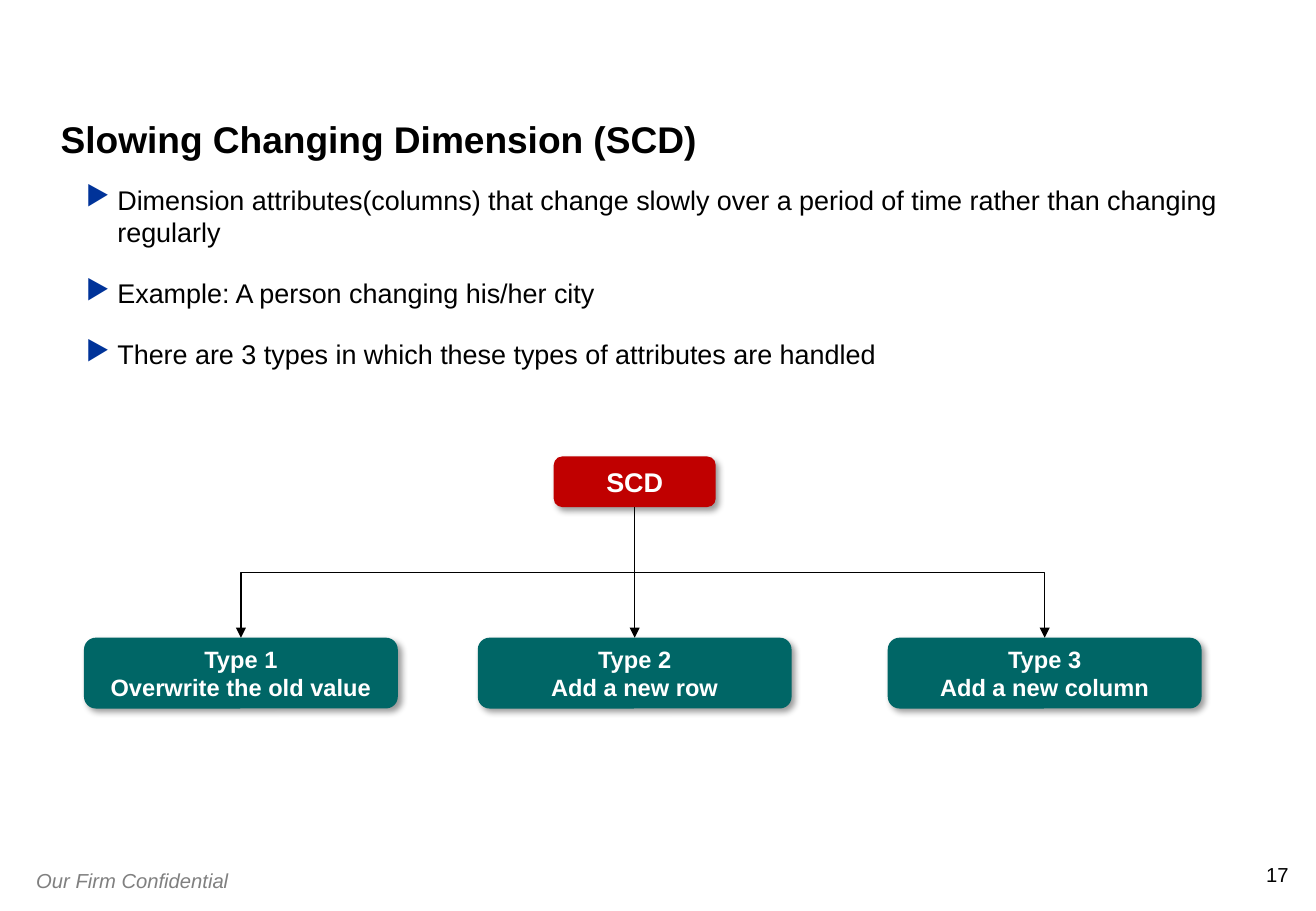
import pptx
import pptx.util
import pptx.dml.color
import pptx.enum.shapes
import pptx.enum.text
import pptx.oxml
import pptx.oxml.ns

PX = 7620  # 120 px to the inch
RGB = pptx.dml.color.RGBColor
BLACK, WHITE = RGB(0, 0, 0), RGB(255, 255, 255)
GREY, BLUE = RGB(0x80, 0x80, 0x80), RGB(0, 0x33, 0x99)
RED, TEAL = RGB(0xC0, 0, 0), RGB(0, 0x66, 0x66)

ALIGN = pptx.enum.text.PP_ALIGN
ANCHOR = pptx.enum.text.MSO_ANCHOR
FIT = pptx.enum.text.MSO_AUTO_SIZE
KIND = pptx.enum.shapes.MSO_CONNECTOR
ROUND = pptx.enum.shapes.MSO_SHAPE.ROUNDED_RECTANGLE

POINTS = [
    "Dimension attributes(columns) that change slowly over a period of time "
    "rather than changing regularly",
    "Example: A person changing his/her city",
    "There are 3 types in which these types of attributes are handled",
]
TYPES = [  # left edge, label
    (0, "Type 1\nOverwrite the old value"),
    (389, "Type 2\nAdd a new row"),
    (794, "Type 3\nAdd a new column"),
]


def scale(*sizes):
    return [pptx.util.Emu(size * PX) for size in sizes]


def node(tag, inner="", **attrs):
    pairs = "".join(f' {key}="{val}"' for key, val in attrs.items())
    space = pptx.oxml.ns.nsdecls("a")
    return pptx.oxml.parse_xml(f"<a:{tag} {space}{pairs}>{inner}</a:{tag}>")


def write(frame, text, size, color, bold=False, italic=False,
          align=ALIGN.LEFT, inset=0, wrap=True, anchor=ANCHOR.TOP):
    frame.text = text
    frame.auto_size = FIT.NONE
    frame.word_wrap = wrap
    frame.vertical_anchor = anchor
    frame.margin_left = frame.margin_right = inset * PX
    frame.margin_top = frame.margin_bottom = inset * PX
    for para in frame.paragraphs:
        para.alignment = align
        for run in para.runs:
            font = run.font
            font.name, font.size = "Arial", pptx.util.Pt(size)
            font.bold, font.italic = bold, italic
            font.color.rgb = color


def add_title(slide, box):
    title = slide.shapes.title
    title.left, title.top, title.width, title.height = scale(*box)
    write(title.text_frame, "Slowing Changing Dimension (SCD)", 22, BLACK,
          bold=True, anchor=ANCHOR.BOTTOM)
    title.text_frame.paragraphs[0].line_spacing = 0.9


def add_points(slide, box):
    frame = slide.shapes.add_textbox(*scale(*box)).text_frame
    write(frame, "\n".join(POINTS), 16, BLACK)
    for index, para in enumerate(frame.paragraphs):
        props = para._p.get_or_add_pPr()
        props.set("marL", str(31 * PX))
        props.set("indent", str(-31 * PX))
        props.append(node("buClr", f'<a:srgbClr val="{BLUE}"/>'))
        props.append(node("buChar", char="▶"))
        if index:
            para.space_before = pptx.util.Pt(17)


def add_card(slide, box, text, size, fill):
    card = slide.shapes.add_shape(ROUND, *scale(*box))
    card.shadow.inherit = False
    card.fill.solid()
    card.fill.fore_color.rgb = fill
    card.line.fill.background()
    shade = ('<a:outerShdw blurRad="50800" dist="38100" dir="2700000" '
             'algn="tl" rotWithShape="0"><a:srgbClr val="000000">'
             '<a:alpha val="40000"/></a:srgbClr></a:outerShdw>')
    effects = card._element.spPr.find(pptx.oxml.ns.qn("a:effectLst"))
    effects.getparent().replace(effects, node("effectLst", shade))
    write(card.text_frame, text, size, WHITE, bold=True, align=ALIGN.CENTER,
          inset=6, wrap=False, anchor=ANCHOR.MIDDLE)
    return card


def add_arrow(slide, root, leaf):
    x1, y1 = root.left + root.width // 2, root.top + root.height
    x2, y2 = leaf.left + leaf.width // 2, leaf.top
    straight = x1 == x2
    kind = KIND.STRAIGHT if straight else KIND.ELBOW
    arrow = slide.shapes.add_connector(kind, x1, y1, x2, y2)
    props = arrow._element.spPr
    if straight:
        arrow.begin_connect(root, 2)
        arrow.end_connect(leaf, 0)
    else:
        # Turn the elbow so that it leaves and arrives vertically
        wide, high = y2 - y1, abs(x2 - x1)
        arrow.left = (x1 + x2 - wide) // 2
        arrow.top = (y1 + y2 - high) // 2
        arrow.width, arrow.height = wide, high
        frame = props.find(pptx.oxml.ns.qn("a:xfrm"))
        frame.set("rot", str((90 if x2 < x1 else 270) * 60000))
        frame.set("flipH", "0" if x2 < x1 else "1")
    arrow.line.color.rgb = BLACK
    arrow.line.width = pptx.util.Pt(0.75)
    arrow.line._get_or_add_ln().append(node("tailEnd", type="triangle"))
    props.append(node("effectLst"))


def add_tree(slide, box):
    left, top, width, height = box
    root = add_card(slide, (left + 464, top, 160, 50), "SCD", 16, RED)
    leaves = [add_card(slide, (left + shift, top + height - 70, 310, 70),
                       label, 14, TEAL) for shift, label in TYPES]
    for leaf in leaves:
        add_arrow(slide, root, leaf)


def add_footer(slide, box):
    left, top, width, height = box
    note = slide.shapes.add_textbox(*scale(left, top, 240, height))
    write(note.text_frame, "Our Firm Confidential", 12, GREY, italic=True,
          inset=12, wrap=False, anchor=ANCHOR.MIDDLE)
    page = slide.shapes.add_textbox(*scale(left + width - 25, top, 25, 24))
    write(page.text_frame, "17", 12, BLACK, align=ALIGN.RIGHT, wrap=False)


def main():
    deck = pptx.Presentation()
    deck.slide_width, deck.slide_height = scale(1300, 900)
    slide = deck.slides.add_slide(deck.slide_layouts[5])
    add_title(slide, (60, 50, 1180, 110))
    add_points(slide, (85, 181, 1150, 218))
    add_tree(slide, (83, 451, 1104, 249))
    add_footer(slide, (24, 852, 1249, 36))
    deck.save("out.pptx")


if __name__ == "__main__":
    main()
